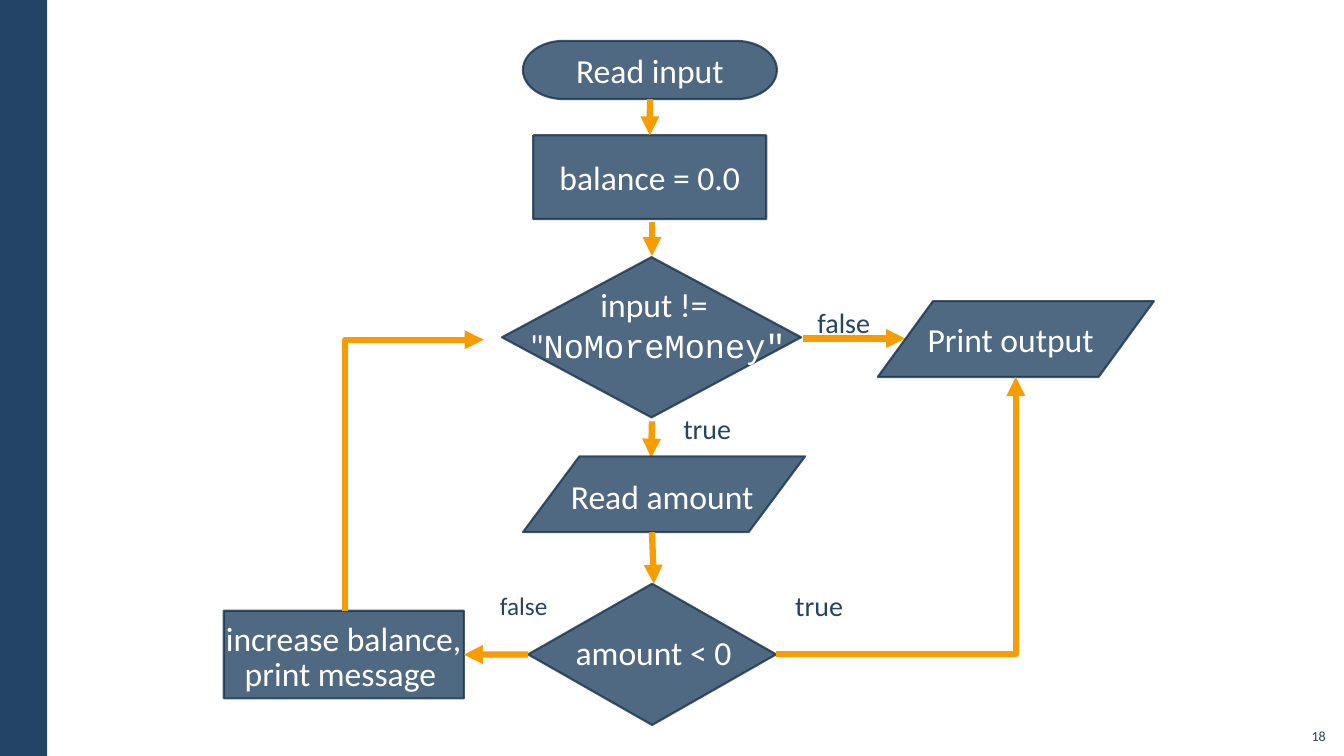
from pptx import Presentation
from pptx.dml.color import RGBColor
from pptx.enum.shapes import MSO_CONNECTOR as Link, MSO_SHAPE as Kind
from pptx.enum.text import MSO_ANCHOR as Anchor, PP_ALIGN as Align
from pptx.oxml.ns import qn
from pptx.util import Cm, Pt
from lxml.etree import SubElement

NAVY = RGBColor(0x23, 0x44, 0x65)
EDGE = RGBColor(0x1A, 0x33, 0x4C)
GOLD = RGBColor(0xF9, 0x9C, 0x00)
WHITE = RGBColor(0xFF, 0xFF, 0xFF)
BODY = {"name": "Calibri", "size": Pt(24)}
LABEL = {"name": "Calibri", "size": Pt(20)}
SMALL = {"name": "Calibri", "size": Pt(18)}
PAGE = {"name": "Calibri", "size": Pt(10)}
CODE = {"name": "Courier New", "size": Pt(24)}
INSET = {"margin_left": Cm(0.41), "margin_right": Cm(0.41),
         "margin_top": Cm(0.3), "margin_bottom": Cm(0.3)}


def apply(item, style):
    """Set each value of a style dict on an item."""
    for key, value in style.items():
        setattr(item, key, value)


def place(box, x, y):
    """Turn centimetres inside a box into slide lengths."""
    return Cm(box[0] + x), Cm(box[1] + y)


def write(frame, text, font, color, align, wrap=True, code=""):
    """Fill a text frame with one paragraph, with an optional code run."""
    frame.word_wrap = wrap
    para = frame.paragraphs[0]
    para.text, para.alignment = text, align
    for run in para.runs:
        apply(run.font, font)
        run.font.color.rgb = color
    if code:
        run = para.add_run()
        run.text = code
        apply(run.font, CODE)
        run.font.color.rgb = color
    return para


def fade(parent):
    """Make a solid fill eighty per cent opaque."""
    color = parent.find(qn("a:solidFill"))[0]
    SubElement(color, qn("a:alpha"), val="80000")


def node(slide, box, kind, x, y, w, h, text=""):
    """Draw one step of the flow chart."""
    shape = slide.shapes.add_shape(kind, *place(box, x, y), Cm(w), Cm(h))
    shape.shadow.inherit = False
    shape.fill.solid()
    shape.fill.fore_color.rgb = NAVY
    shape.line.color.rgb, shape.line.width = EDGE, Pt(1.5)
    props = shape.fill._xPr
    fade(props)
    fade(props.find(qn("a:ln")))
    if text:
        shape.text_frame.vertical_anchor = Anchor.MIDDLE
        write(shape.text_frame, text, BODY, WHITE, Align.CENTER)
    return shape


def words(slide, box, x, y, w, h, text, wrap=True, code=""):
    """Write centred white text over a step."""
    area = slide.shapes.add_textbox(*place(box, x, y), Cm(w), Cm(h))
    write(area.text_frame, text, BODY, WHITE, Align.CENTER, wrap, code)


def label(slide, box, x, y, w, h, text, font=LABEL, wrap=True):
    """Write the outcome beside a branch."""
    area = slide.shapes.add_textbox(*place(box, x, y), Cm(w), Cm(h))
    apply(area.text_frame, INSET)
    para = write(area.text_frame, text, font, NAVY, Align.LEFT, wrap)
    para.line_spacing = 1.1


def arrow(slide, box, start, end, kind=Link.STRAIGHT):
    """Draw a gold arrow between two points."""
    line = slide.shapes.add_connector(kind, *place(box, *start), *place(box, *end))
    line.line.color.rgb, line.line.width = GOLD, Pt(4.5)
    SubElement(line.line._get_or_add_ln(), qn("a:tailEnd"), type="triangle")
    props = line._element.spPr
    SubElement(props, qn("a:effectLst"))
    if kind == Link.ELBOW:
        props.find(qn("a:prstGeom")).set("prst", "bentConnector2")
    return line


def climb(line):
    """Turn an elbow so that it rises first and then runs right."""
    mid_x, mid_y = line.left + line.width // 2, line.top + line.height // 2
    wide, high = line.height, line.width
    apply(line, {"left": mid_x - wide // 2, "top": mid_y - high // 2,
                 "width": wide, "height": high})
    frame = line._element.spPr.find(qn("a:xfrm"))
    frame.attrib.pop("flipV", None)
    frame.set("rot", "16200000")


def join(line, first, out, last, into):
    """Tie both ends of a line to the sides of two steps."""
    line.begin_connect(first, out)
    line.end_connect(last, into)


def spine(slide, box):
    """Draw the central column and return its last decision."""
    start = node(slide, box, Kind.FLOWCHART_TERMINATOR, 0.78, 0.03, 6.4, 1.47, "Read input")
    total = node(slide, box, Kind.FLOWCHART_PROCESS, 1.04, 2.41, 5.87, 2.11, "balance = 0.0")
    join(arrow(slide, box, (3.98, 1.5), (3.98, 2.41)), start, 2, total, 0)
    arrow(slide, box, (4.03, 4.59), (4.03, 5.45))
    node(slide, box, Kind.FLOWCHART_DECISION, 0.25, 5.48, 7.54, 4.04)
    words(slide, box, 0, 6.04, 8.36, 2.31, 'input != \v"', code='NoMoreMoney"')
    arrow(slide, box, (4.03, 9.62), (4.01, 10.53))
    label(slide, box, 4.41, 8.98, 2.49, 1.55, "true")
    node(slide, box, Kind.FLOWCHART_DATA, 0.78, 10.5, 7.11, 1.91)
    words(slide, box, 1.04, 10.86, 6.5, 1.27, "Read amount")
    arrow(slide, box, (4.03, 12.41), (4.08, 13.71))
    check = node(slide, box, Kind.FLOWCHART_DECISION, 0.91, 13.71, 6.25, 3.56)
    words(slide, box, 1.57, 14.8, 5, 1.27, "amount < 0")
    return check


def loop(slide, box, check):
    """Draw the branch that leads back to the first decision."""
    step = node(slide, box, Kind.FLOWCHART_PROCESS, 0.24, 6.83, 6.05, 2.21)
    words(slide, box, 0.49, 7.77, 5.38, 1.27, "print message", False)
    words(slide, box, 0.01, 6.88, 6.5, 1.27, "increase balance,", False)
    join(arrow(slide, box, (7.91, 7.92), (6.3, 7.94)), check, 1, step, 3)
    label(slide, box, 6.79, 5.94, 2.2, 1.4, "false", SMALL, False)
    climb(arrow(slide, box, (3.29, 6.83), (6.79, 0), Link.ELBOW))


def leave(slide, box):
    """Draw the branches that end in the output."""
    arrow(slide, box, (0.68, 1.23), (3.25, 1.23))
    label(slide, box, 0.63, 0.02, 2.3, 1.5, "false", wrap=False)
    label(slide, box, 0.07, 7.15, 2.2, 1.55, "true")
    node(slide, box, Kind.FLOWCHART_DATA, 2.56, 0.29, 6.96, 1.91)
    words(slide, box, 3.55, 0.6, 4.72, 1.27, "Print output", False)
    arrow(slide, box, (0, 9.18), (6.04, 2.2), Link.ELBOW)


def margin(slide, box):
    """Draw the side bar and the page number."""
    bar = slide.shapes.add_shape(Kind.RECTANGLE, *place(box, 0, 0), Cm(1.19), Cm(19.05))
    bar.shadow.inherit = False
    bar.fill.solid()
    bar.fill.fore_color.rgb = NAVY
    bar.line.fill.background()
    page = slide.shapes.add_textbox(*place(box, 32.64, 18.08), Cm(1.02), Cm(0.81))
    page.text_frame.vertical_anchor = Anchor.BOTTOM
    write(page.text_frame, "18", PAGE, NAVY, Align.RIGHT)


def main():
    """Build the slide and save it."""
    deck = Presentation()
    deck.slide_width, deck.slide_height = Cm(33.87), Cm(19.05)
    slide = deck.slides.add_slide(deck.slide_layouts[6])
    margin(slide, (0, 0))
    check = spine(slide, (12.4, 1))
    loop(slide, (5.4, 8.56), check)
    leave(slide, (19.56, 7.3))
    deck.save("out.pptx")


if __name__ == "__main__":
    main()
